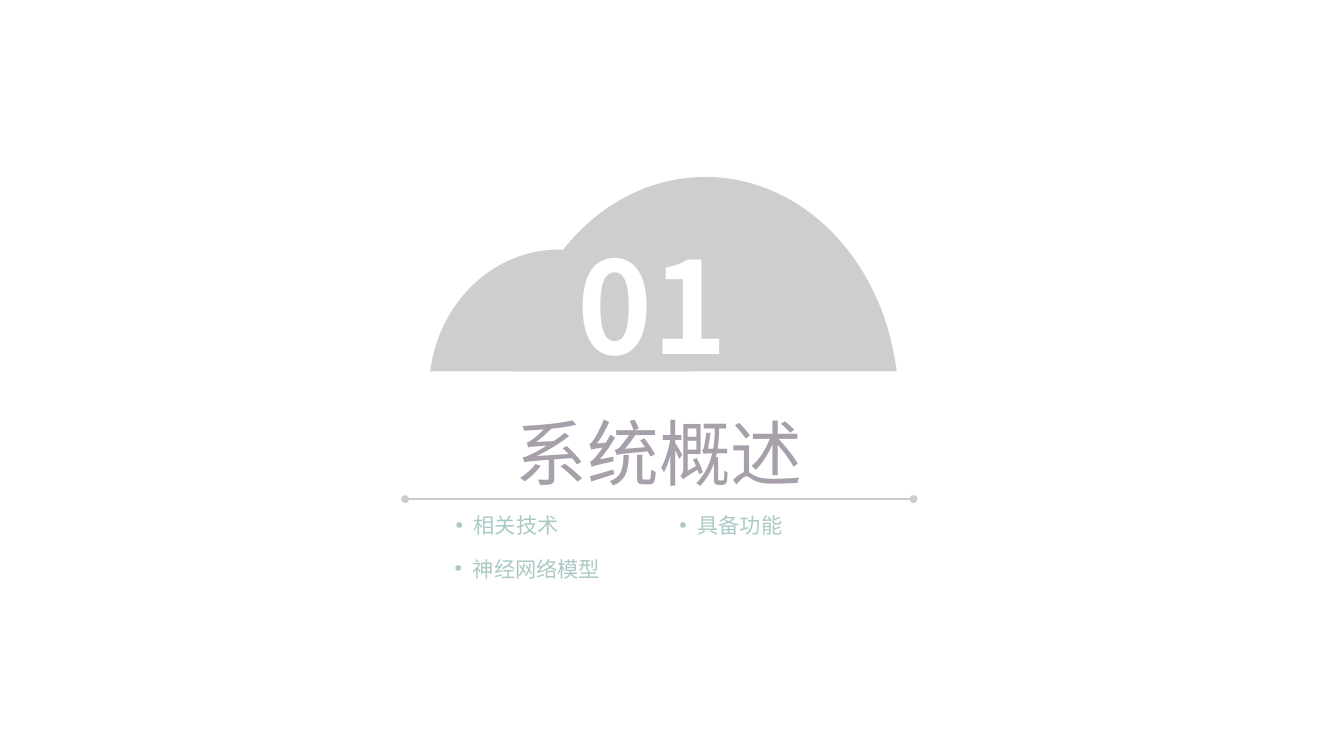
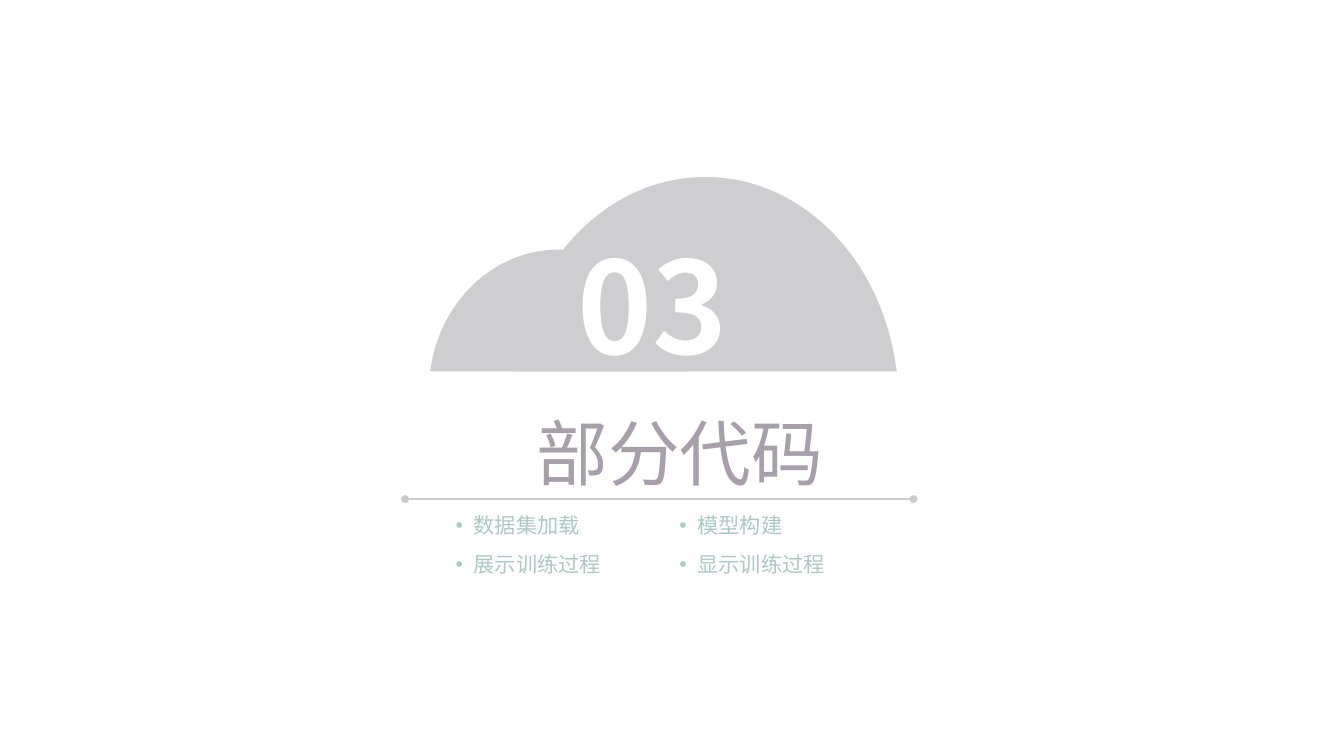
from lxml.etree import SubElement
from pptx import Presentation
from pptx.dml.color import RGBColor
from pptx.enum.shapes import MSO_CONNECTOR
from pptx.enum.text import MSO_AUTO_SIZE, PP_ALIGN
from pptx.oxml.ns import qn
from pptx.util import Pt

FONT = "Noto Sans CJK SC"
CLOUD, RULE, TITLE, TOPIC, WHITE = "CECED0", "CCCCCC", "A79FAA", "ABCAC5", "FFFFFF"

# Dome outline and curve handles, as fractions of half its width and of its height
DOME_CORNERS = [(-1, 1), (-0.99, 0.94), (0, 0), (0.99, 0.94), (1, 1)]
DOME_HANDLES = [[(-0.9, 0.4), (-0.49, 0)], [(0.49, 0), (0.9, 0.4)]]
CLOUD_BASE = 279.7
DOMES = [(531.4, 144.2, 146.4), (421.3, 97.3, 91.7)]  # centre, half width, height

TOPIC_SIZE = 16
TOPIC_INDENT = 13.7
TOPIC_MARGINS = 14.4
TOPIC_LEFT, TOPIC_RIGHT = 336.2, 504.8
TOPIC_TOP = 382.4

SECTIONS = [
    {"number": "01", "title": "系统概述", "title_left": 320.4, "topics": [
        ("相关技术", TOPIC_LEFT, TOPIC_TOP),
        ("具备功能", TOPIC_RIGHT, TOPIC_TOP),
        ("神经网络模型", 335.5, 415.3)]},
    {"number": "03", "title": "部分代码", "title_left": 336.2, "topics": [
        ("数据集加载", TOPIC_LEFT, TOPIC_TOP),
        ("模型构建", TOPIC_RIGHT, TOPIC_TOP),
        ("展示训练过程", TOPIC_LEFT, 411.8),
        ("显示训练过程", TOPIC_RIGHT, 411.8)]},
]


def color(value):
    return RGBColor.from_string(value)


class SectionDeck:
    def __init__(self):
        self.presentation = Presentation()
        self.presentation.slide_width = Pt(1012.5)
        self.presentation.slide_height = Pt(569.5)
        self.slide = None

    def add_slide(self):
        self.slide = self.presentation.slides.add_slide(self.presentation.slide_layouts[6])

    def dome(self, center, half_width, height):
        left, top = Pt(center - half_width), Pt(CLOUD_BASE - height)

        def local(point):
            return Pt((point[0] + 1) * half_width), Pt(point[1] * height)

        corners = [(left + x, top + y) for x, y in map(local, DOME_CORNERS)]
        builder = self.slide.shapes.build_freeform(*corners[0])
        builder.add_line_segments(corners[1:], close=True)
        shape = builder.convert_to_shape()
        # Bend the two middle segments into curves
        segments = list(shape._element.iter(qn("a:lnTo")))[1:3]
        for segment, handles in zip(segments, DOME_HANDLES):
            curve = segment.makeelement(qn("a:cubicBezTo"))
            for x, y in map(local, handles):
                SubElement(curve, qn("a:pt"), x=str(x), y=str(y))
            curve.append(segment[0])
            segment.getparent().replace(segment, curve)
        shape.shadow.inherit = False
        shape.fill.solid()
        shape.fill.fore_color.rgb = color(CLOUD)
        shape.line.fill.background()

    def text(self, content, left, top, width, height, size, ink,
             bold=False, wrap=True, margins=None):
        shape = self.slide.shapes.add_textbox(Pt(left), Pt(top), Pt(width), Pt(height))
        frame = shape.text_frame
        frame_format = {"word_wrap": wrap, "auto_size": MSO_AUTO_SIZE.SHAPE_TO_FIT_TEXT}
        if margins is not None:
            for side in ("left", "top", "right", "bottom"):
                frame_format[f"margin_{side}"] = Pt(margins)
        for name, value in frame_format.items():
            setattr(frame, name, value)
        paragraph = frame.paragraphs[0]
        run = paragraph.add_run()
        run.text = content
        for name, value in {"name": FONT, "size": Pt(size), "bold": bold}.items():
            setattr(run.font, name, value)
        run.font.color.rgb = color(ink)
        # East Asian typeface
        SubElement(run.font._element, qn("a:ea"), typeface=FONT)
        return paragraph

    def heading(self, content, left, top, width, height, size, ink, bold=False):
        paragraph = self.text(content, left, top, width, height, size, ink, bold, margins=0)
        paragraph.alignment = PP_ALIGN.CENTER

    def topic(self, content, left, top):
        width = TOPIC_MARGINS + TOPIC_INDENT + len(content) * TOPIC_SIZE
        paragraph = self.text(content, left, top, width, 26.6, TOPIC_SIZE, TOPIC, wrap=False)
        paragraph.level = 1
        properties = paragraph._p.get_or_add_pPr()
        properties.set("marL", str(Pt(TOPIC_INDENT)))
        properties.set("indent", str(-Pt(TOPIC_INDENT)))
        SubElement(properties, qn("a:buFont"), typeface="Arial")
        SubElement(properties, qn("a:buChar"), char="•")

    def dotted_rule(self, left, right, y):
        connector = self.slide.shapes.add_connector(
            MSO_CONNECTOR.STRAIGHT, Pt(left), Pt(y), Pt(right), Pt(y))
        connector.line.width = Pt(1)
        connector.line.color.rgb = color(RULE)
        line = connector.line._get_or_add_ln()
        for end in ("a:headEnd", "a:tailEnd"):
            SubElement(line, qn(end), type="oval")
        SubElement(connector._element.spPr, qn("a:effectLst"))

    def section(self, number, title, title_left, topics):
        self.add_slide()
        # Cloud with the section number
        for dome in DOMES:
            self.dome(*dome)
        self.heading(number, 346.3, 171, 290.2, 116.6, 96, WHITE, bold=True)
        # Title above the rule
        self.dotted_rule(305.2, 688.2, 376)
        self.heading(title, title_left, 307.7, 352.1, 65.5, 54, TITLE)
        # Topics
        for topic in topics:
            self.topic(*topic)


def main():
    deck = SectionDeck()
    for section in SECTIONS:
        deck.section(**section)
    deck.presentation.save("out.pptx")


if __name__ == "__main__":
    main()
